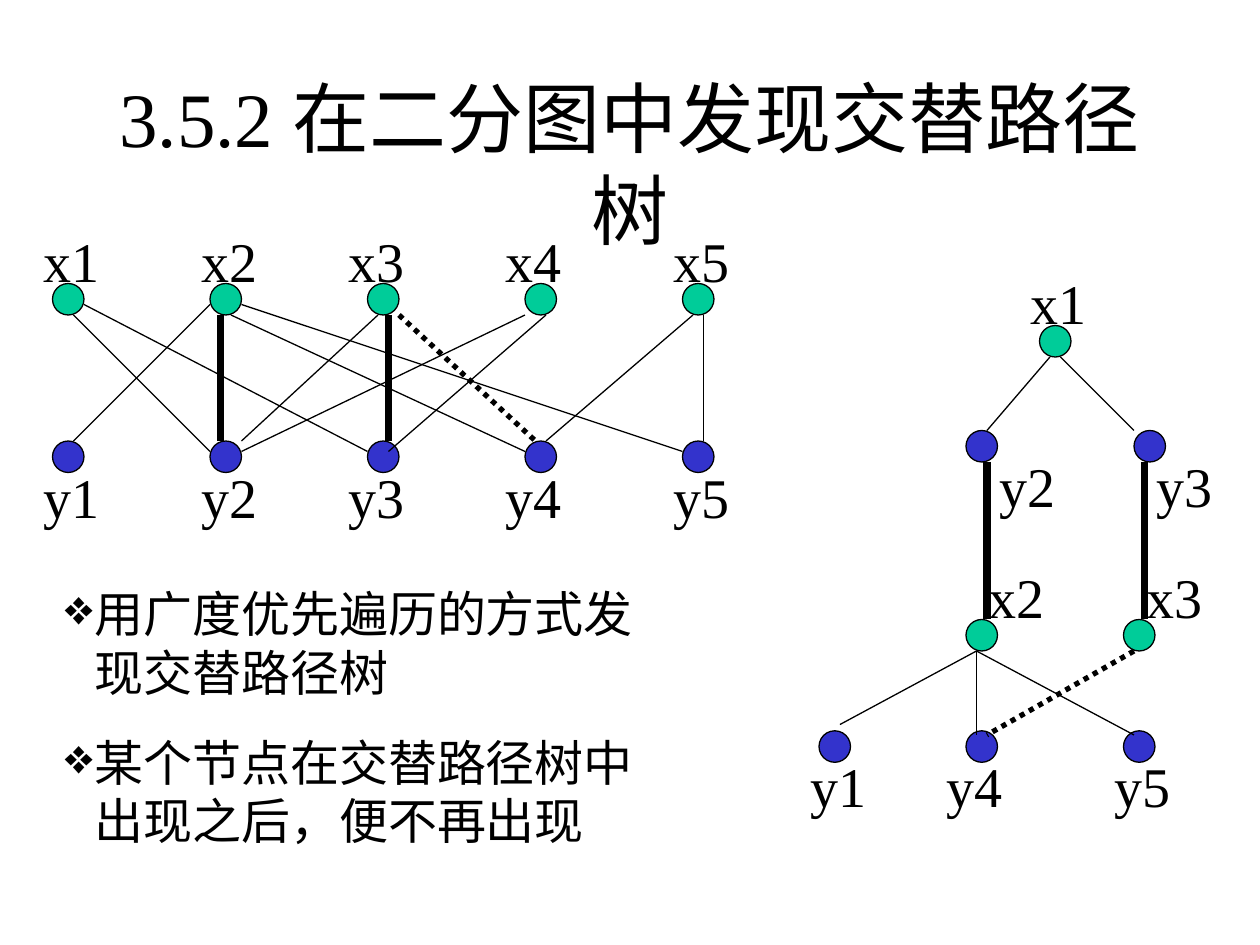
"""Build a slide on finding an alternating path tree in a bipartite graph."""
from lxml import etree
from pptx import Presentation
from pptx.dml.color import RGBColor
from pptx.enum.dml import MSO_LINE
from pptx.enum.shapes import MSO_CONNECTOR, MSO_SHAPE
from pptx.enum.text import MSO_ANCHOR, MSO_AUTO_SIZE, PP_ALIGN
from pptx.oxml.ns import qn
from pptx.util import Cm, Pt

STRAIGHT = MSO_CONNECTOR.STRAIGHT
OVAL = MSO_SHAPE.OVAL
DOTTED = MSO_LINE.ROUND_DOT
MIDDLE = MSO_ANCHOR.MIDDLE
CENTER = PP_ALIGN.CENTER
GROW = MSO_AUTO_SIZE.SHAPE_TO_FIT_TEXT
BLACK = RGBColor(0x00, 0x00, 0x00)
GREEN = RGBColor(0x00, 0xCC, 0x99)
BLUE = RGBColor(0x33, 0x33, 0xCC)
FONT = "Times New Roman"
GRID = Cm(2.54) / 12
NODE = 3

TITLE = "3.5.2 在二分图中发现交替路径树"
POINTS = [
    "用广度优先遍历的方式发现交替路径树",
    "某个节点在交替路径树中出现之后，便不再出现",
]
GRAPH_COLUMNS = [(5, 3), (20, 18), (35, 32), (50, 47), (65, 63)]
GRAPH_ROWS = [("x", 27, 21), ("y", 42, 43.5)]
TREE_NODES = [
    ("x1", 99, 31, 97, 25),
    ("y2", 92, 41, 94, 42.4),
    ("y3", 108, 41, 109, 42.4),
    ("x2", 92, 59, 93, 53),
    ("x3", 107, 59, 108, 53),
    ("y1", 78, 69.6, 76, 71),
    ("y4", 92, 69.6, 89, 71),
    ("y5", 107, 69.6, 105, 71),
]
THIN_EDGES = [
    (7, 30, 20, 43), (8, 29, 35, 43), (20, 29, 7, 42), (22, 30, 50, 43),
    (23, 29, 65, 43), (36, 30, 23, 42), (23, 43, 50, 30), (52, 30, 37, 43),
    (66, 30, 52, 42), (67, 30, 67, 42), (100, 34, 94, 41), (101, 34, 108, 41),
    (93, 62, 80, 69), (93, 62, 93, 70), (93, 62, 108, 70),
]
MATCHED_EDGES = [(21, 30, 21, 42), (37, 30, 37, 42),
                 (94, 44, 94, 59), (109, 44, 109, 59)]
DOTTED_EDGES = [(38, 30, 51, 42), (108, 62, 94, 70)]
EDGE_STYLES = [(THIN_EDGES, 0.75, None), (MATCHED_EDGES, 4.5, None),
               (DOTTED_EDGES, 3, DOTTED)]


def grid(*values):
    return [round(v * GRID) for v in values]


def add_text(slide, box, lines, size):
    tf = slide.shapes.add_textbox(*box).text_frame
    tf.word_wrap = True
    tf.text = "\n".join(lines)
    for p in tf.paragraphs:
        for r in p.runs:
            r.font.name = FONT
            r.font.size = Pt(size)
            r.font.color.rgb = BLACK
    return tf


def add_node(slide, name, x, y, label_x, label_y):
    sp = slide.shapes.add_shape(OVAL, *grid(x, y, NODE, NODE))
    sp.shadow.inherit = False
    sp.fill.solid()
    sp.fill.fore_color.rgb = GREEN if name.startswith("x") else BLUE
    sp.line.color.rgb = BLACK
    sp.line.width = Pt(0.75)
    tf = add_text(slide, grid(label_x, label_y, 9, 7.7), [name], 32)
    tf.auto_size = GROW


def add_edge(slide, ends, width, dash):
    line = slide.shapes.add_connector(STRAIGHT, *grid(*ends))
    line.line.color.rgb = BLACK
    line.line.width = Pt(width)
    if dash is not None:
        line.line.dash_style = dash
    etree.SubElement(line._element.spPr, qn("a:effectLst"))


def add_bullet(p):
    pPr = p._p.get_or_add_pPr()
    pPr.set("marL", str(Cm(0.6)))
    pPr.set("indent", str(-Cm(0.6)))
    etree.SubElement(pPr, qn("a:buChar")).set("char", "❖")


def main():
    prs = Presentation()
    prs.slide_width, prs.slide_height = Cm(25.4), Cm(19.05)
    slide = prs.slides.add_slide(prs.slide_layouts[6])

    tf = add_text(slide, grid(9, 8, 102, 15), [TITLE], 44)
    tf.vertical_anchor = MIDDLE
    tf.paragraphs[0].alignment = CENTER

    for letter, y, label_y in GRAPH_ROWS:
        for i, (x, label_x) in enumerate(GRAPH_COLUMNS, 1):
            add_node(slide, f"{letter}{i}", x, y, label_x, label_y)
    for node in TREE_NODES:
        add_node(slide, *node)
    for edges, width, dash in EDGE_STYLES:
        for ends in edges:
            add_edge(slide, ends, width, dash)

    tf = add_text(slide, grid(5, 55, 59, 26.5), POINTS, 28)
    tf.auto_size = GROW
    for p in tf.paragraphs:
        add_bullet(p)
    tf.paragraphs[1].space_before = Pt(17.5)

    prs.save("out.pptx")


if __name__ == "__main__":
    main()
